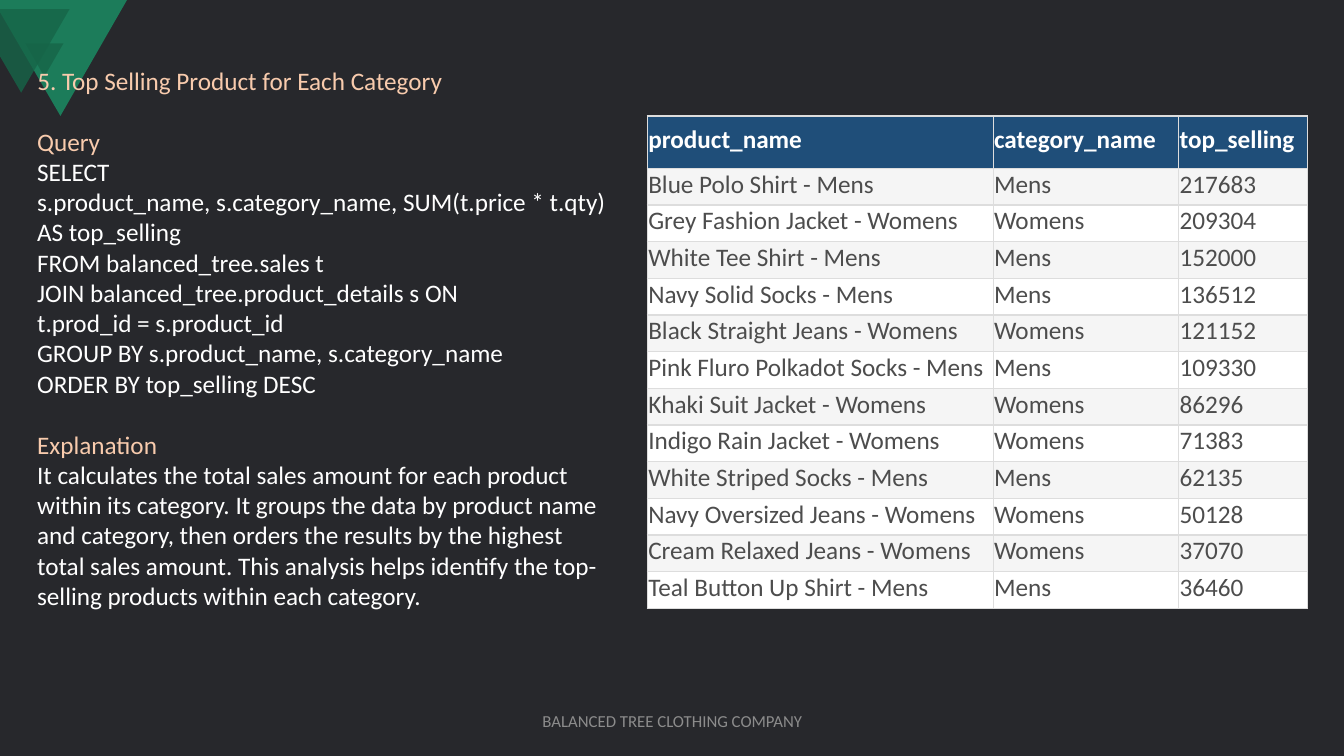
"""Build the slide on the top selling product for each category."""
import lxml.etree
import pptx
import pptx.dml.color
import pptx.enum.shapes
import pptx.enum.text
import pptx.oxml.ns
import pptx.util

Inches = pptx.util.Inches
Pt = pptx.util.Pt
RGBColor = pptx.dml.color.RGBColor
ALIGN = pptx.enum.text.PP_ALIGN
ANCHOR = pptx.enum.text.MSO_ANCHOR
qn = pptx.oxml.ns.qn

DARK = RGBColor(0x27, 0x28, 0x2C)
GREEN = RGBColor(0x1C, 0x7C, 0x5A)
PINE = RGBColor(0x16, 0x65, 0x48)
PEACH = RGBColor(0xF8, 0xCB, 0xAD)
WHITE = RGBColor(0xFF, 0xFF, 0xFF)
GREY = RGBColor(0x8C, 0x8C, 0x8C)
NAVY = RGBColor(0x1F, 0x4E, 0x79)
INK = RGBColor(0x4D, 0x4D, 0x4D)
PALE = RGBColor(0xF5, 0xF5, 0xF5)
RULE = RGBColor(0xDD, 0xDD, 0xDD)

TITLE = "5. Top Selling Product for Each Category"
QUERY = [
    "SELECT",
    "s.product_name, s.category_name, SUM(t.price * t.qty) AS top_selling",
    "FROM balanced_tree.sales t",
    "JOIN balanced_tree.product_details s ON",
    "t.prod_id = s.product_id",
    "GROUP BY s.product_name, s.category_name",
    "ORDER BY top_selling DESC",
]
REASON = [
    "It calculates the total sales amount for each product within its "
    "category. It groups the data by product name and category, then orders "
    "the results by the highest total sales amount. This analysis helps "
    "identify the top-selling products within each category.",
]
HEADS = ["product_name", "category_name", "top_selling"]
SALES = [
    ("Blue Polo Shirt - Mens", "Mens", 217683),
    ("Grey Fashion Jacket - Womens", "Womens", 209304),
    ("White Tee Shirt - Mens", "Mens", 152000),
    ("Navy Solid Socks - Mens", "Mens", 136512),
    ("Black Straight Jeans - Womens", "Womens", 121152),
    ("Pink Fluro Polkadot Socks - Mens", "Mens", 109330),
    ("Khaki Suit Jacket - Womens", "Womens", 86296),
    ("Indigo Rain Jacket - Womens", "Womens", 71383),
    ("White Striped Socks - Mens", "Mens", 62135),
    ("Navy Oversized Jeans - Womens", "Womens", 50128),
    ("Cream Relaxed Jeans - Womens", "Womens", 37070),
    ("Teal Button Up Shirt - Mens", "Mens", 36460),
]


def style(para, color, size=18, bold=False):
    """Set the font of a paragraph."""
    font = para.font
    font.name, font.size, font.bold = "Calibri", Pt(size), bold
    font.color.rgb = color


def paint(shape, color, alpha=100):
    """Fill a shape without line or shadow, at an opacity in percent."""
    shape.shadow.inherit = False
    shape.line.fill.background()
    shape.fill.solid()
    shape.fill.fore_color.rgb = color
    if alpha < 100:
        tone = shape.element.spPr.find(".//" + qn("a:srgbClr"))
        lxml.etree.SubElement(tone, qn("a:alpha"), val=str(alpha * 1000))


def outline(slide, left, top, points):
    """Draw a closed polygon with points relative to a corner."""
    spots = [(Inches(left + x), Inches(top + y)) for x, y in points]
    pen = slide.shapes.build_freeform(*spots[0])
    pen.add_line_segments(spots[1:], close=True)
    return pen.convert_to_shape()


def corner(slide, left, top):
    """Draw the three overlapping triangles of the corner."""
    large = outline(slide, left, top, [(0, 0), (1.26, 0), (0.6, 1.15), (0, 0.12)])
    paint(large, GREEN)
    small = slide.shapes.add_shape(
        pptx.enum.shapes.MSO_SHAPE.ISOSCELES_TRIANGLE,
        Inches(left + 0.25), Inches(top + 0.43), Inches(0.38), Inches(0.33))
    small.element.spPr.xfrm.set("flipV", "1")
    paint(small, PINE, 80)
    side = outline(slide, left, top + 0.09, [(0, 0), (0.69, 0), (0.21, 0.83), (0, 0.47)])
    paint(side, PINE, 80)


def heading(slide, left, top, width, height):
    """Place the title in front of the corner triangles."""
    title = slide.shapes.title
    title.left, title.top = Inches(left), Inches(top)
    title.width, title.height = Inches(width), Inches(height)
    frame = title.text_frame
    frame.text = TITLE
    frame.auto_size = pptx.enum.text.MSO_AUTO_SIZE.NONE
    frame.vertical_anchor = ANCHOR.TOP
    frame.paragraphs[0].alignment = ALIGN.LEFT
    style(frame.paragraphs[0], PEACH)
    title.element.getparent().append(title.element)


def textbox(slide, left, top, width, height):
    """Add a wrapping text box and return its frame."""
    box = slide.shapes.add_textbox(
        Inches(left), Inches(top), Inches(width), Inches(height))
    box.text_frame.word_wrap = True
    return box.text_frame


def notes(slide, left, top, width, height):
    """Write the query and its explanation, each under a label."""
    frame = textbox(slide, left, top, width, height)
    parts = [("Query", QUERY), ("Explanation", REASON)]
    frame.text = "\n".join(line for label, body in parts for line in [label, *body])
    labels = [label for label, body in parts]
    for para in frame.paragraphs:
        style(para, PEACH if para.text in labels else WHITE)
        if para.text == labels[1]:
            para.space_before = Pt(22)


def footer(slide, left, top, width, height):
    """Write the centred footer."""
    frame = textbox(slide, left, top, width, height)
    frame.text = "BALANCED TREE CLOTHING COMPANY"
    frame.vertical_anchor = ANCHOR.MIDDLE
    frame.paragraphs[0].alignment = ALIGN.CENTER
    style(frame.paragraphs[0], GREY, 12)


def border(cell):
    """Rule all four sides of a cell."""
    props = cell._tc.get_or_add_tcPr()
    for side in ("a:lnL", "a:lnR", "a:lnT", "a:lnB"):
        line = lxml.etree.SubElement(props, qn(side), w=str(Pt(1)))
        fill = lxml.etree.SubElement(line, qn("a:solidFill"))
        lxml.etree.SubElement(fill, qn("a:srgbClr"), val=str(RULE))


def fill_cell(cell, text, color, back, bold):
    """Write and format one table cell."""
    cell.text = str(text)
    cell.vertical_anchor = ANCHOR.MIDDLE
    cell.margin_left = cell.margin_right = cell.margin_top = Inches(0.01)
    cell.margin_bottom = Inches(0.05)
    style(cell.text_frame.paragraphs[0], color, bold=bold)
    border(cell)
    cell.fill.solid()
    cell.fill.fore_color.rgb = back


def sales(slide, left, top, width, height):
    """Lay out the sales table with a taller head row."""
    rows = [HEADS, *SALES]
    table = slide.shapes.add_table(
        len(rows), len(HEADS), Inches(left), Inches(top),
        Inches(width), Inches(height)).table
    for col, share in zip(table.columns, (3.43, 1.84, 1.28)):
        col.width = Inches(width * share / 6.55)
    head = 0.52
    for r, row in enumerate(rows):
        table.rows[r].height = Inches(head if r == 0 else (height - head) / len(SALES))
        back = NAVY if r == 0 else PALE if r % 2 else WHITE
        for c, text in enumerate(row):
            fill_cell(table.cell(r, c), text, INK if r else WHITE, back, r == 0)


def main():
    """Build and save the slide."""
    deck = pptx.Presentation()
    deck.slide_width, deck.slide_height = Inches(13.33), Inches(7.5)
    slide = deck.slides.add_slide(deck.slide_layouts.get_by_name("Title Only"))
    slide.background.fill.solid()
    slide.background.fill.fore_color.rgb = DARK
    corner(slide, 0, 0)
    heading(slide, 0.27, 0.6, 5.84, 0.4)
    footer(slide, 4.42, 6.95, 4.5, 0.4)
    notes(slide, 0.27, 1.2, 5.84, 4.95)
    sales(slide, 6.42, 1.15, 6.55, 4.89)
    deck.save("out.pptx")


if __name__ == "__main__":
    main()
